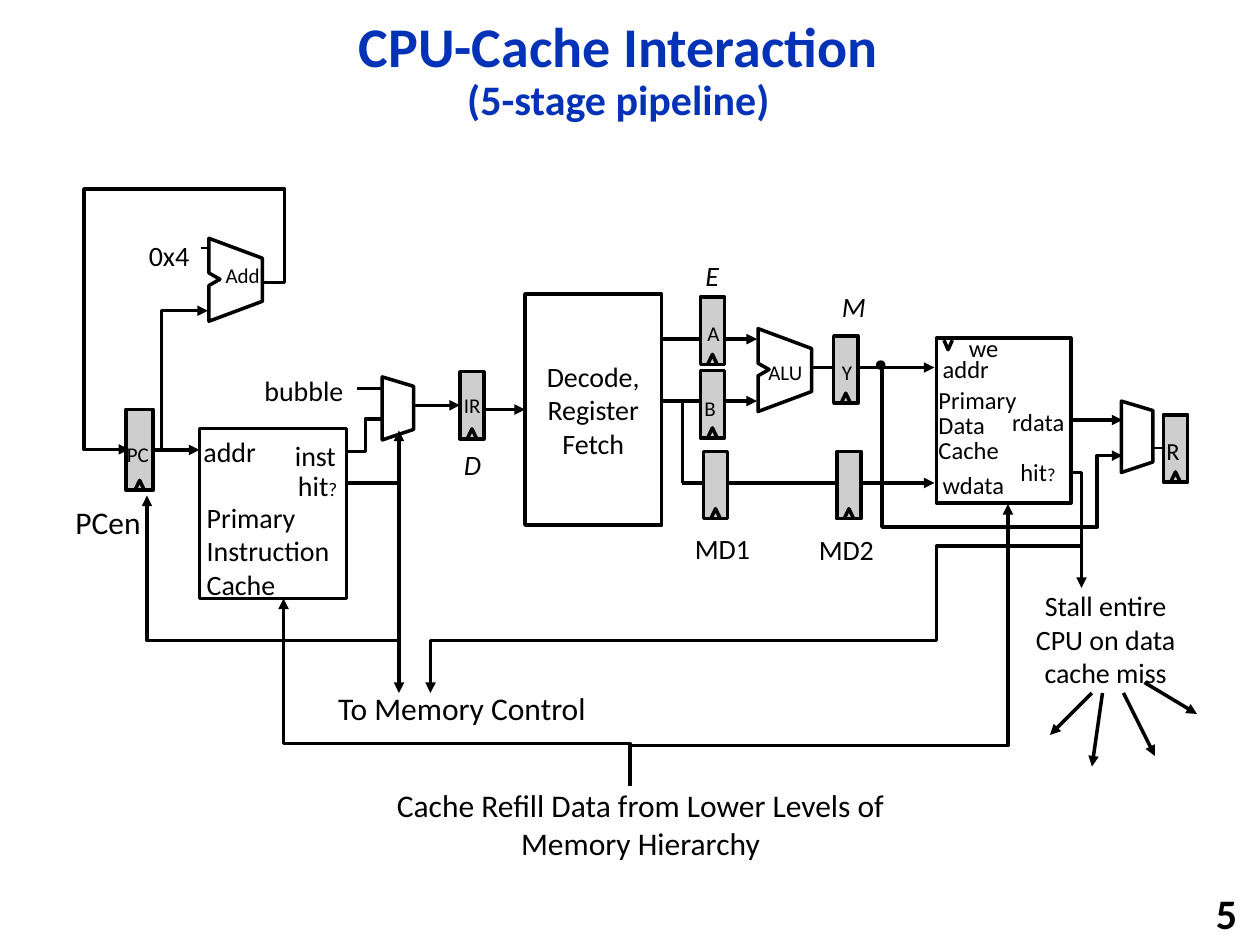
"""Build the CPU-cache interaction slide on a grid of 120 columns by 90 rows."""
from lxml.etree import SubElement
from pptx import Presentation
from pptx.dml.color import RGBColor
from pptx.enum.shapes import MSO_CONNECTOR, MSO_SHAPE
from pptx.enum.text import MSO_ANCHOR, PP_ALIGN
from pptx.oxml.ns import qn
from pptx.util import Inches, Pt

BLACK, WHITE, GREY, BLUE = "000000", "FFFFFF", "CECECE", "0332B7"
LEFT, CENTER, RIGHT = PP_ALIGN.LEFT, PP_ALIGN.CENTER, PP_ALIGN.RIGHT

deck = Presentation()
deck.slide_width, deck.slide_height = Inches(10), Inches(7.5)
cell = deck.slide_width // 120
page = deck.slides.add_slide(deck.slide_layouts[6])


def style(shape, fill=None, arrow=False, width=2):
    """Give a shape or connector its line, fill and arrowhead, without a shadow."""
    shape.line.color.rgb = RGBColor.from_string(BLACK)
    shape.line.width = Pt(width)
    if fill:
        shape.fill.solid()
        shape.fill.fore_color.rgb = RGBColor.from_string(fill)
    elif hasattr(shape, "fill"):
        shape.fill.background()
    properties = shape._element.spPr
    if arrow:
        SubElement(properties.find(qn("a:ln")), qn("a:tailEnd"), type="triangle")
    SubElement(properties, qn("a:effectLst"))


def write(shape, text, size, align=LEFT, color=BLACK, bold=False, italic=False, spacing=None):
    """Fill a shape with one paragraph per line of text and return the last paragraph."""
    frame = shape.text_frame
    frame.word_wrap = align != LEFT
    if align == LEFT:
        frame.margin_right = 0
    frame.vertical_anchor = MSO_ANCHOR.MIDDLE
    frame.text = text
    for para in frame.paragraphs:
        para.alignment, para.line_spacing = align, spacing
        para.font.name, para.font.size = "Calibri", Pt(size)
        para.font.bold, para.font.italic = bold, italic
        para.font.color.rgb = RGBColor.from_string(color)
    return para


lines = {
    "store data": (65, 46, 89, 46, True, 2),
    "ALU result": (77, 35, 84, 35, False, 2),
    "operand A": (63, 32.3, 72.1, 32.3, True, 2),
    "operand B": (63, 38.2, 72.1, 38.2, True, 2),
    "store branch": (65, 38, 65, 46, False, 2.25),
    "data address": (84, 35, 89, 35, True, 2),
    "fetch address": (14.6, 42.85, 19, 42.85, True, 2),
    "constant": (19.1, 23.6, 19.9, 23.6, False, 1),
    "bubble": (34, 37, 36.4, 37, False, 2),
    "instruction": (39.4, 38.6, 43.8, 38.6, True, 2),
    "decode": (46, 39, 50, 39, True, 2),
    "miss": (38, 59, 38, 66, True, 2),
    "read data": (102, 40, 106.9, 40, True, 2),
    "result": (109.7, 42.7, 110.8, 42.7, False, 1),
    "stall 1": (104, 66, 100, 70, True, 2),
    "stall 2": (105, 66, 104, 73, True, 2),
    "stall 3": (107, 66, 110, 72, True, 2),
    "stall 4": (109, 65, 114, 68, True, 2),
}
connectors = {}
for name, (*ends, arrow, width) in lines.items():
    connectors[name] = page.shapes.add_connector(
        MSO_CONNECTOR.STRAIGHT, *[int(end * cell) for end in ends])
    style(connectors[name], arrow=arrow, width=width)

registers = {
    "PC": (12, 39, 2.6, 7.7), "IR": (43.8, 35.4, 2.3, 6.4),
    "A": (66.7, 28.3, 2.3, 6.4), "B": (66.7, 35.3, 2.3, 6.4),
    "Y": (79.4, 32, 2.3, 6.4), "MD1": (67, 43, 2.3, 6.4),
    "MD2": (79.7, 43, 2.3, 6.4), "R": (110.8, 39.5, 2.3, 6.4),
}
blocks = {
    "instruction cache": (19, 40.8, 14, 16.2),
    "decode": (50, 28, 13, 22),
    "data cache": (89.2, 32.2, 12.8, 15.7),
}
boxes = {}
for name, place in {**registers, **blocks}.items():
    boxes[name] = page.shapes.add_shape(
        MSO_SHAPE.RECTANGLE, *[int(length * cell) for length in place])
    style(boxes[name], GREY if name in registers else WHITE)
write(boxes["decode"], "Decode,\nRegister\nFetch", 16, CENTER)

connectors["fetch address"].begin_connect(boxes["PC"], 3)
connectors["instruction"].end_connect(boxes["IR"], 1)
connectors["decode"].end_connect(boxes["decode"], 1)
connectors["result"].end_connect(boxes["R"], 1)

junction = page.shapes.add_shape(
    MSO_SHAPE.OVAL, *[int(length * cell) for length in (83.5, 34.4, 0.75, 0.75)])
style(junction, BLACK, width=1)

outlines = [
    ([(15.4, 42.8), (15.4, 29.6), (19.8, 29.6)], None, True),
    ([(32.9, 43), (34.8, 43), (34.8, 39.9), (36.3, 39.9)], None, False),
    ([(84, 35), (84, 50.2), (104.5, 50.2), (104.5, 43.4), (106.9, 43.4)], None, True),
    ([(60, 74.9), (60, 70.8), (27, 70.8), (27, 57)], None, True),
    ([(60, 71), (96, 71), (96, 48)], None, True),
    ([(102, 45), (103, 45), (103, 56)], None, True),
    ([(103, 52), (89.2, 52), (89.2, 61), (41, 61), (41, 66)], None, True),
    ([(89.9, 32.4), (90.3, 33.3), (90.7, 32.4)], None, False),
]
for left, top, width, height in registers.values():
    middle, bottom = left + width / 2, top + height
    tick = [(middle - 0.45, bottom), (middle, bottom - 0.95), (middle + 0.45, bottom)]
    outlines.append((tick, None, False))
unit = [(0, 0), (0, 3.3), (1.05, 3.9), (0, 4.5), (0, 7.9), (5.1, 6), (5.1, 1.9), (0, 0)]
for left, top in [(19.9, 22.7), (72.2, 31.3)]:
    outlines.append(([(left + x, top + y) for x, y in unit], WHITE, False))
for left, top, height in [(36.4, 35.9, 6), (106.8, 38.2, 6.8)]:
    selector = [(0, 0), (3, 0.9), (3, height - 1), (0, height), (0, 0)]
    outlines.append(([(left + x, top + y) for x, y in selector], WHITE, False))
outlines += [
    ([(25.1, 26.9), (27.1, 26.9), (27.1, 18), (8, 18), (8, 42.8), (12.3, 42.8)], None, True),
    ([(33, 46), (38, 46), (38, 41)], None, True),
    ([(38, 46), (38, 61), (14, 61), (14, 47.2)], None, True),
]
for points, fill, arrow in outlines:
    start, *rest = [(int(x * cell), int(y * cell)) for x, y in points]
    builder = page.shapes.build_freeform(*start)
    builder.add_line_segments(rest, close=fill is not None)
    style(builder.convert_to_shape(), fill, arrow)

labels = [
    ("CPU-Cache Interaction", 11, 2, 95.8, 9.7, 32,
     dict(align=CENTER, color=BLUE, bold=True, spacing=0.9), "\v(5-stage pipeline)", 24),
    ("5", 94, 85, 25, 3.8, 24, dict(align=RIGHT, bold=True), "", 0),
    ("PC", 10.9, 41.5, 4.6, 3.6, 12, {}, "", 0),
    ("addr", 18.2, 40.8, 7.4, 4.4, 16, {}, "", 0),
    ("inst", 26.9, 41.2, 6.4, 4.4, 16, {}, "", 0),
    ("hit", 27.2, 44, 6.1, 4.4, 16, {}, "?", 11),
    ("Primary\nInstruction\nCache", 18.5, 47, 14.3, 10.9, 16, {}, "", 0),
    ("0x4", 13, 22.1, 6.2, 4.4, 16, {}, "", 0),
    ("Add", 20.3, 24.4, 5.6, 3.6, 12, {}, "", 0),
    ("IR", 43, 36.8, 4.1, 3.6, 12, {}, "", 0),
    ("D", 43, 42, 4.7, 4.4, 16, dict(italic=True), "", 0),
    ("bubble", 24, 35, 10, 4.4, 16, {}, "", 0),
    ("PCen", 6, 47.3, 8.6, 4.8, 18, {}, "", 0),
    ("R", 109.9, 40.9, 3.7, 4, 14, {}, "", 0),
    ("addr", 88.6, 33.1, 6.8, 4, 14, {}, "", 0),
    ("wdata", 88.6, 44.2, 8.4, 4, 14, {}, "", 0),
    ("rdata", 95.2, 38.2, 7.6, 4, 14, {}, "", 0),
    ("Primary\nData\nCache", 88.2, 36.5, 9.8, 8.4, 14, dict(spacing=0.85), "", 0),
    ("we", 91.1, 31.1, 5.3, 4, 14, {}, "", 0),
    ("hit", 96, 42.9, 5.8, 4, 14, {}, "?", 10.5),
    ("E", 66, 24, 4.3, 4.4, 16, dict(italic=True), "", 0),
    ("M", 79, 27, 5.4, 4.4, 16, dict(italic=True), "", 0),
    ("A", 66.2, 29.9, 3.6, 3.6, 12, {}, "", 0),
    ("B", 65.9, 37.1, 3.5, 3.6, 12, {}, "", 0),
    ("Y", 79, 33.6, 3.6, 3.6, 12, {}, "", 0),
    ("ALU", 72, 33.6, 5.8, 3.6, 12, {}, "", 0),
    ("MD1", 65, 50, 7.7, 4.4, 16, {}, "", 0),
    ("MD2", 76.8, 50.1, 7.7, 4.4, 16, {}, "", 0),
    ("Stall entire CPU on data cache miss", 96, 55.4, 18.6, 10.9, 16, dict(align=CENTER), "", 0),
    ("To Memory Control", 29, 65, 30, 4.8, 18, dict(align=CENTER), "", 0),
    ("Cache Refill Data from Lower Levels of Memory Hierarchy", 36, 74.2, 50, 8.5, 18,
     dict(align=CENTER), "", 0),
]
for text, left, top, width, height, size, look, ending, ending_size in labels:
    box = page.shapes.add_textbox(*[int(length * cell) for length in (left, top, width, height)])
    para = write(box, text, size, **look)
    if ending.startswith("\v"):
        para.add_line_break()
    if ending:
        span = para.add_run()
        span.text, span.font.size = ending.strip(), Pt(ending_size)

deck.save("out.pptx")
